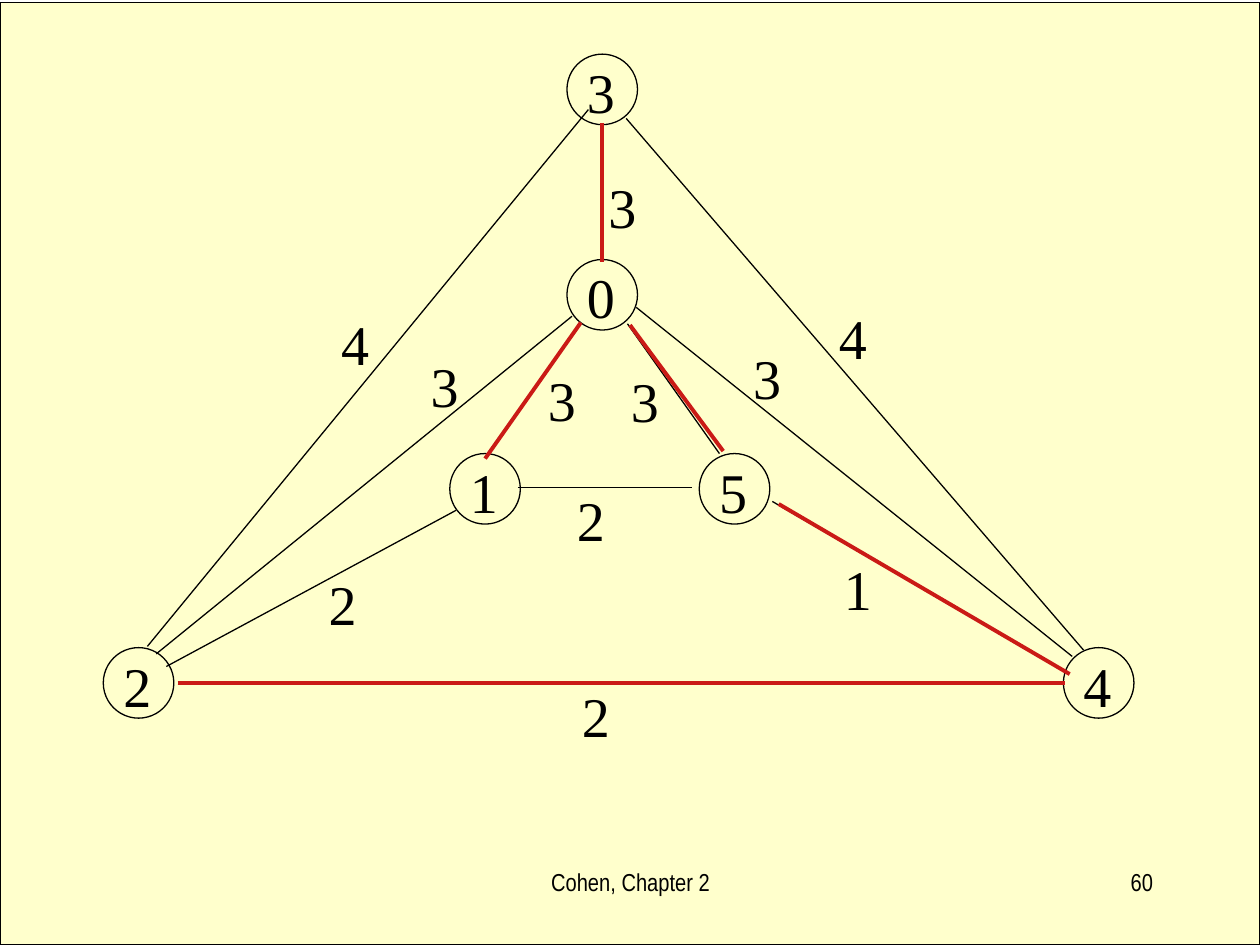
from lxml.etree import SubElement
from pptx import Presentation
from pptx.dml.color import RGBColor
from pptx.enum.shapes import MSO_CONNECTOR, MSO_SHAPE
from pptx.enum.text import MSO_ANCHOR, PP_ALIGN
from pptx.oxml.ns import qn
from pptx.util import Inches, Pt

CREAM = RGBColor(0xFF, 0xFF, 0xCC)
BLACK = RGBColor(0x00, 0x00, 0x00)
RED = RGBColor(0xCA, 0x1A, 0x16)

SLIDE_WIDTH, SLIDE_HEIGHT = Inches(10), Inches(7.5)
COLUMNS, ROWS = 100, 75
NODE_SIZE = 5.6
LABEL_HEIGHT = 6.4

NODES = [
    ("3", 45, 4.3), ("0", 45, 20.6), ("1", 35.7, 36),
    ("2", 8.2, 51.4), ("5", 55.5, 36), ("4", 84.4, 51.4),
]
EDGES = [
    (11.7, 51.3, 46.7, 8.7), (49.7, 9.4, 86, 51.6), (14.1, 54.3, 84.1, 54.3),
    (41.1, 38.7, 54.9, 38.7), (47.8, 9.8, 47.8, 20.6), (38.7, 36, 45.9, 26),
    (49.8, 25.7, 57.1, 36), (45.4, 25.1, 12.4, 51.9), (50.5, 24.4, 85.1, 52.1),
    (36.2, 40.5, 13.2, 52.9), (61.3, 39.8, 84.4, 53.2),
]
WEIGHTS = [
    ("2", 45.2, 53.5), ("1", 66, 43.4), ("2", 44.8, 38), ("2", 25.1, 44.6),
    ("4", 26.1, 24), ("4", 65.6, 23.5), ("3", 47.3, 13.1), ("3", 33.2, 27.3),
    ("3", 58.8, 26.7), ("3", 49.1, 28.5), ("3", 42.5, 28.4),
]
TREE_EDGES = [
    (47.8, 9.8, 47.8, 20.8), (61.8, 40, 84.9, 53.5), (50, 25.8, 57.4, 35.8),
    (46.1, 25.6, 38.5, 36.4), (14.1, 54.2, 84.5, 54.2),
]


def grid_x(columns):
    """Turn grid columns into a length."""
    return round(SLIDE_WIDTH * columns / COLUMNS)


def grid_y(rows):
    """Turn grid rows into a length."""
    return round(SLIDE_HEIGHT * rows / ROWS)


def grid_box(left, top, width, height):
    """Turn a box in grid units into lengths."""
    return grid_x(left), grid_y(top), grid_x(width), grid_y(height)


def add_outlined_shape(slide, kind, box, fill=None):
    """Draw a thin black outline with an optional fill."""
    shape = slide.shapes.add_shape(kind, *grid_box(*box))
    shape.shadow.inherit = False
    if fill is None:
        shape.fill.background()
    else:
        shape.fill.solid()
        shape.fill.fore_color.rgb = fill
    shape.line.color.rgb = BLACK
    shape.line.width = Pt(0.75)


def add_text(slide, text, box, font_name, size, alignment, anchor):
    """Place one run of black text in a box."""
    frame = slide.shapes.add_textbox(*grid_box(*box)).text_frame
    frame.word_wrap = True
    frame.vertical_anchor = anchor
    paragraph = frame.paragraphs[0]
    paragraph.alignment = alignment
    run = paragraph.add_run()
    run.text = text
    run.font.name = font_name
    run.font.size = Pt(size)
    run.font.color.rgb = BLACK


def add_number(slide, text, left, top, width):
    """Place a node name or an edge weight."""
    add_text(slide, text, (left, top, width, LABEL_HEIGHT),
             "Times New Roman", 32, PP_ALIGN.LEFT, MSO_ANCHOR.BOTTOM)


def add_edges(slide, box, edges, color, width):
    """Draw straight edges relative to the box."""
    left, top = box[:2]
    for start_x, start_y, end_x, end_y in edges:
        edge = slide.shapes.add_connector(
            MSO_CONNECTOR.STRAIGHT,
            grid_x(left + start_x), grid_y(top + start_y),
            grid_x(left + end_x), grid_y(top + end_y))
        edge.line.color.rgb = color
        edge.line.width = Pt(width)
        SubElement(edge._element.spPr, qn("a:effectLst"))


def add_graph(slide, box):
    """Draw the weighted graph and its spanning tree."""
    left, top = box[:2]
    for name, x, y in NODES:
        add_outlined_shape(slide, MSO_SHAPE.OVAL,
                           (left + x, top + y, NODE_SIZE, NODE_SIZE))
        add_number(slide, name, left + x + 0.6, top + y - 0.3, 6.2)
    add_edges(slide, box, EDGES, BLACK, 0.75)
    for weight, x, y in WEIGHTS:
        add_number(slide, weight, left + x, top + y, 5.7)
    add_edges(slide, box, TREE_EDGES, RED, 2.25)


def add_footer(slide, box):
    """Place the chapter name and the page number."""
    left, top, width, height = box
    number_width = 20.8
    parts = [
        ("Cohen, Chapter 2", left, 31.7, PP_ALIGN.CENTER),
        ("60", left + width - number_width, number_width, PP_ALIGN.RIGHT),
    ]
    for text, part_left, part_width, alignment in parts:
        add_text(slide, text, (part_left, top, part_width, height),
                 "Arial Narrow", 14, alignment, MSO_ANCHOR.TOP)


def main():
    """Build and save the slide."""
    presentation = Presentation()
    presentation.slide_width = SLIDE_WIDTH
    presentation.slide_height = SLIDE_HEIGHT
    slide = presentation.slides.add_slide(presentation.slide_layouts[6])
    add_outlined_shape(slide, MSO_SHAPE.RECTANGLE, (0, 0.2, COLUMNS, ROWS - 0.2), CREAM)
    add_graph(slide, (0, 0, COLUMNS, ROWS))
    add_footer(slide, (34.2, 68.3, 58.3, 5))
    presentation.save("out.pptx")


if __name__ == "__main__":
    main()
